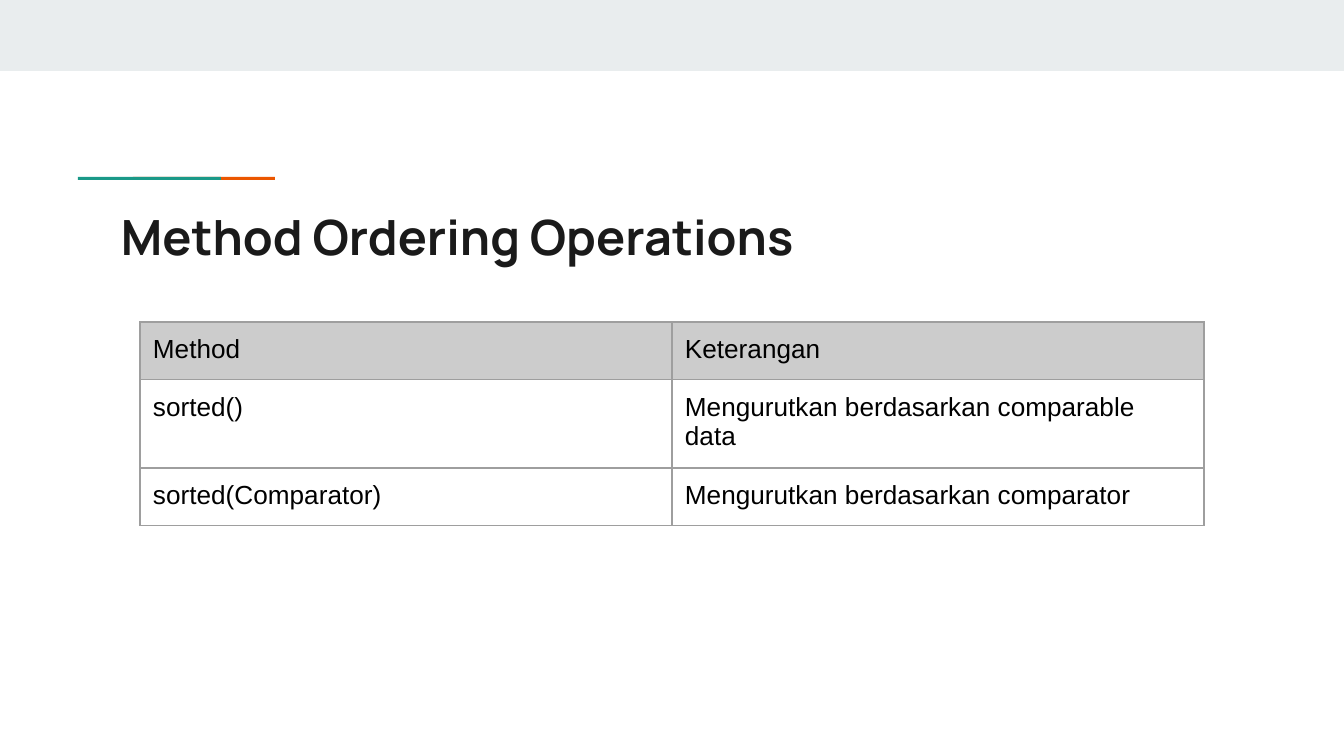
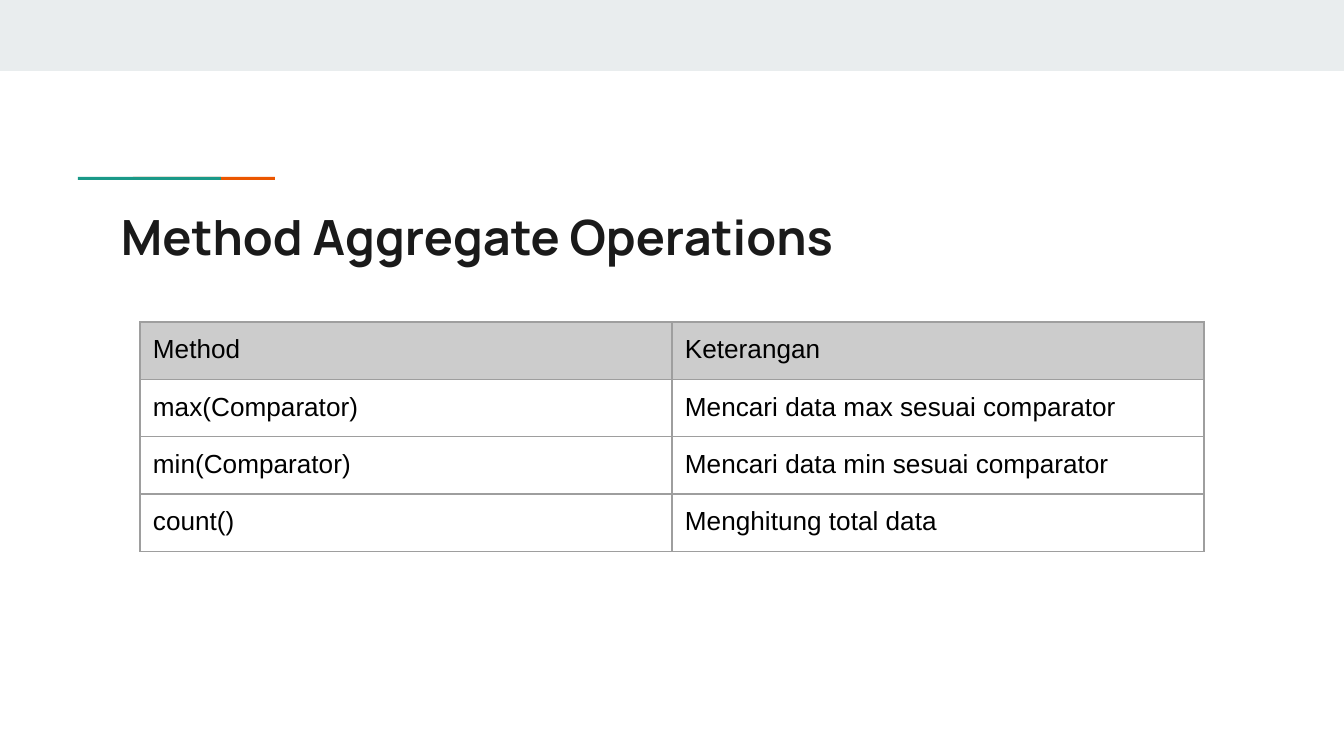
"""Build two slides that list Java stream methods in tables."""
from lxml.etree import SubElement
from pptx import Presentation
from pptx.dml.color import RGBColor
from pptx.enum.shapes import MSO_SHAPE
from pptx.enum.text import MSO_ANCHOR
from pptx.oxml.ns import qn
from pptx.util import Emu, Pt

COLORS = {
    "band": "E9EDEE",
    "teal": "1A9988",
    "orange": "EB5600",
    "title": "1A1A1A",
    "text": "000000",
    "header": "CCCCCC",
    "border": "9E9E9E",
}
BARS = [
    (0, 0, 1344, 71, "band"),
    (133, 177, 142, 3, "orange"),
    (78, 177, 143, 3, "teal"),
]
HEADER = ("Method", "Keterangan")
SLIDES = [
    ("Method Ordering Operations", [
        ("sorted()", "Mengurutkan berdasarkan comparable data"),
        ("sorted(Comparator)", "Mengurutkan berdasarkan comparator"),
    ]),
    ("Method Aggregate Operations", [
        ("max(Comparator)", "Mencari data max sesuai comparator"),
        ("min(Comparator)", "Mencari data min sesuai comparator"),
        ("count()", "Menghitung total data"),
    ]),
]
COLUMN_WIDTH = 532
ROW_HEIGHT = 56


def px(length):
    return Emu(round(length * 914400 / 134.4))


def add_text(frame, text, font_name, size, color, bold=False):
    frame.word_wrap = True
    frame.margin_left = frame.margin_right = px(13)
    frame.margin_top = frame.margin_bottom = px(13)
    span = frame.paragraphs[0].add_run()
    span.text = text
    span.font.name = font_name
    span.font.size = Pt(size)
    span.font.bold = bold
    span.font.color.rgb = RGBColor.from_string(COLORS[color])


deck = Presentation()
deck.slide_width, deck.slide_height = px(1344), px(756)

for title, methods in SLIDES:
    page = deck.slides.add_slide(deck.slide_layouts[6])
    for left, top, width, height, color in BARS:
        bar = page.shapes.add_shape(MSO_SHAPE.RECTANGLE, px(left), px(top), px(width), px(height))
        bar.shadow.inherit = False
        bar.fill.solid()
        bar.fill.fore_color.rgb = RGBColor.from_string(COLORS[color])
        bar.line.fill.background()

    box = page.shapes.add_textbox(px(108), px(194), px(1130), px(79))
    box.text_frame.vertical_anchor = MSO_ANCHOR.TOP
    add_text(box.text_frame, title, "Manrope", 26, "title", bold=True)

    rows = [HEADER, *methods]
    table = page.shapes.add_table(
        len(rows), len(HEADER), px(140), px(322),
        px(COLUMN_WIDTH * len(HEADER)), px(ROW_HEIGHT * len(rows)),
    ).table
    table.first_row = table.horz_banding = False
    for column in table.columns:
        column.width = px(COLUMN_WIDTH)
    for row_index, row in enumerate(rows):
        table.rows[row_index].height = px(ROW_HEIGHT)
        for column_index, text in enumerate(row):
            cell = table.cell(row_index, column_index)
            add_text(cell.text_frame, text, "Arial", 14, "text")
            cell.margin_left = cell.margin_right = px(13)
            cell.margin_top = cell.margin_bottom = px(13)
            properties = cell._tc.get_or_add_tcPr()
            for side in ("a:lnL", "a:lnR", "a:lnT", "a:lnB"):
                border = SubElement(properties, qn(side), w=str(Pt(0.75)))
                fill = SubElement(border, qn("a:solidFill"))
                SubElement(fill, qn("a:srgbClr"), val=COLORS["border"])
            if row_index == 0:
                cell.fill.solid()
                cell.fill.fore_color.rgb = RGBColor.from_string(COLORS["header"])
            else:
                cell.fill.background()

deck.save("out.pptx")
